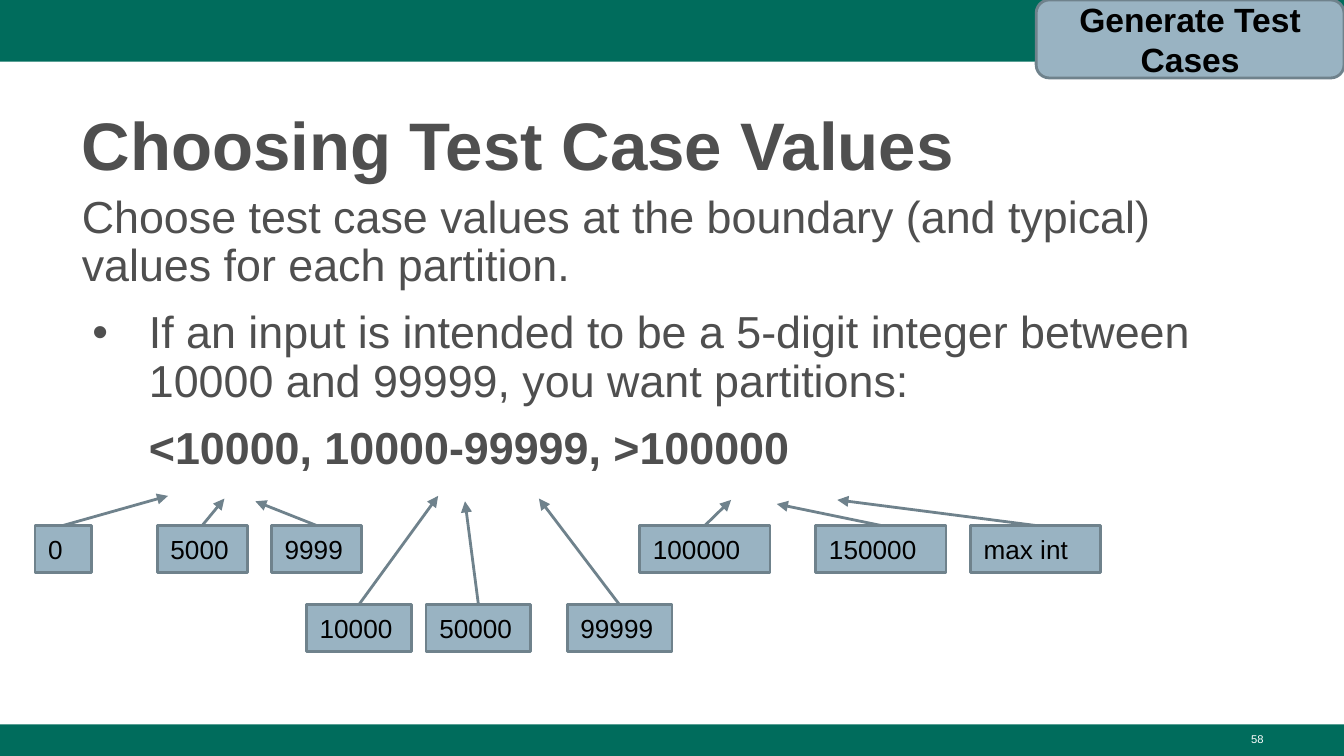
from dataclasses import dataclass

from lxml.etree import SubElement
from pptx import Presentation
from pptx.dml.color import RGBColor
from pptx.enum.shapes import MSO_CONNECTOR, MSO_SHAPE
from pptx.enum.text import MSO_ANCHOR, PP_ALIGN
from pptx.oxml.ns import qn
from pptx.util import Inches, Pt


@dataclass(frozen=True)
class Theme:
    font: str = "Arial"
    band: RGBColor = RGBColor(0x00, 0x6C, 0x5C)
    ink: RGBColor = RGBColor(0x4F, 0x4F, 0x4F)
    box: RGBColor = RGBColor(0x99, 0xB3, 0xC2)
    outline: RGBColor = RGBColor(0x6F, 0x82, 0x8C)
    black: RGBColor = RGBColor(0, 0, 0)
    white: RGBColor = RGBColor(255, 255, 255)
    title_size: int = 36
    body_size: int = 24
    badge_size: int = 18
    value_size: int = 14
    number_size: int = 6
    line_width: float = 1.5


THEME = Theme()
SLIDE_WIDTH = 10
SLIDE_HEIGHT = SLIDE_WIDTH * 9 / 16
FOOTER_TOP = 5.39
BOX_HEIGHT = 0.35
UPPER_ROW, LOWER_ROW = 3.91, 4.5

# Each partition: top of its boxes, box width, (value, left, arrow tip)
PARTITIONS = [
    (UPPER_ROW, 0.42, [("0", 0.26, (1.25, 3.69))]),
    (UPPER_ROW, 0.67, [("5000", 1.17, (1.67, 3.71)),
                       ("9999", 2.02, (1.9, 3.73))]),
    (LOWER_ROW, 0.78, [("10000", 2.28, (3.26, 3.69)),
                       ("50000", 3.17, (3.46, 3.73)),
                       ("99999", 4.22, (4.01, 3.71))]),
    (UPPER_ROW, 0.97, [("100000", 4.76, (5.44, 3.72)),
                       ("150000", 6.07, (5.78, 3.75)),
                       ("max int", 7.22, (6.23, 3.72))]),
]

# Each body paragraph: text, left margin, first-line indent, bullet, bold
BODY = [
    ("Choose test case values at the boundary (and typical) "
     "values for each partition.", 0, 0, None, False),
    ("If an input is intended to be a 5-digit integer between "
     "10000 and 99999, you want partitions:", 0.5, -0.42, "•", False),
    ("<10000, 10000-99999, >100000", 0, 0.5, None, True),
]


def apply(target, formats):
    for attribute, value in formats.items():
        setattr(target, attribute, value)


def write(paragraph, text, size, color, bold=False, **formats):
    paragraph.text = text
    apply(paragraph, formats)
    apply(paragraph.font, {"name": THEME.font, "size": Pt(size), "bold": bold})
    paragraph.font.color.rgb = color


def add_text_frame(slide, left, top, width, height, **formats):
    area = slide.shapes.add_textbox(*map(Inches, (left, top, width, height)))
    apply(area.text_frame, {"word_wrap": True, **formats})
    return area.text_frame


def add_panel(slide, preset, left, top, width, height, fill, outline=None):
    panel = slide.shapes.add_shape(
        preset, *map(Inches, (left, top, width, height)))
    panel.shadow.inherit = False
    panel.fill.solid()
    panel.fill.fore_color.rgb = fill
    if outline is None:
        panel.line.fill.background()
    else:
        panel.line.color.rgb = outline
        panel.line.width = Pt(THEME.line_width)
    return panel


def add_label(slide, preset, bounds, text, size, align, bold=False):
    """Add an outlined box with text centred vertically."""
    label = add_panel(slide, preset, *bounds, THEME.box, THEME.outline)
    margins = dict.fromkeys(
        ("margin_left", "margin_top", "margin_right", "margin_bottom"),
        Inches(0.1))
    apply(label.text_frame, {"word_wrap": True,
                             "vertical_anchor": MSO_ANCHOR.MIDDLE, **margins})
    write(label.text_frame.paragraphs[0], text, size, THEME.black, bold,
          alignment=align)
    return label


def add_arrow(slide, value_box, tip):
    """Point from the top middle of a value box to a tip in inches."""
    tip_x, tip_y = map(Inches, tip)
    arrow = slide.shapes.add_connector(
        MSO_CONNECTOR.STRAIGHT, value_box.left + value_box.width // 2,
        value_box.top, tip_x, tip_y)
    arrow.begin_connect(value_box, 0)
    arrow.line.color.rgb = THEME.outline
    arrow.line.width = Pt(THEME.line_width)
    SubElement(arrow.line._get_or_add_ln(), qn("a:tailEnd"), type="triangle")
    SubElement(arrow._element.spPr, qn("a:effectLst"))


def set_indent(paragraph, margin, indent, bullet):
    properties = paragraph._p.get_or_add_pPr()
    properties.set("marL", str(Inches(margin)))
    properties.set("indent", str(Inches(indent)))
    if bullet:
        bullet_color = SubElement(properties, qn("a:buClr"))
        SubElement(bullet_color, qn("a:srgbClr"), val=str(THEME.ink))
        SubElement(properties, qn("a:buFont"), typeface=THEME.font)
        SubElement(properties, qn("a:buChar"), char=bullet)
    else:
        SubElement(properties, qn("a:buNone"))


def add_body(slide):
    frame = add_text_frame(slide, 0.51, 1.4, 8.99, 3.81)
    for position, (text, margin, indent, bullet, bold) in enumerate(BODY):
        paragraph = frame.add_paragraph() if position else frame.paragraphs[0]
        set_indent(paragraph, margin, indent, bullet)
        write(paragraph, text, THEME.body_size, THEME.ink, bold,
              line_spacing=0.9, space_before=Pt(10 if position else 0))


def add_partition(slide, top, width, values):
    for value, left, tip in values:
        value_box = add_label(
            slide, MSO_SHAPE.RECTANGLE, (left, top, width, BOX_HEIGHT),
            value, THEME.value_size, PP_ALIGN.LEFT)
        add_arrow(slide, value_box, tip)


def main():
    deck = Presentation()
    deck.slide_width = Inches(SLIDE_WIDTH)
    deck.slide_height = Inches(SLIDE_HEIGHT)
    slide = deck.slides.add_slide(deck.slide_layouts[6])

    for top, height in ((0, 0.46), (FOOTER_TOP, SLIDE_HEIGHT - FOOTER_TOP)):
        add_panel(slide, MSO_SHAPE.RECTANGLE, 0, top, SLIDE_WIDTH, height,
                  THEME.band)

    title = add_text_frame(slide, 0.51, 0.67, 8.99, 0.73,
                           vertical_anchor=MSO_ANCHOR.BOTTOM,
                           margin_bottom=Inches(0.03))
    write(title.paragraphs[0], "Choosing Test Case Values", THEME.title_size,
          THEME.ink, bold=True, line_spacing=1.08)
    add_body(slide)
    for partition in PARTITIONS:
        add_partition(slide, *partition)

    number = add_text_frame(slide, 7.17, 5.4, 2.33, 0.23)
    write(number.paragraphs[0], "58", THEME.number_size, THEME.white,
          alignment=PP_ALIGN.RIGHT)
    add_label(slide, MSO_SHAPE.ROUNDED_RECTANGLE, (7.71, 0, 2.29, 0.58),
              "Generate Test Cases", THEME.badge_size, PP_ALIGN.CENTER,
              bold=True)
    deck.save("out.pptx")


if __name__ == "__main__":
    main()
